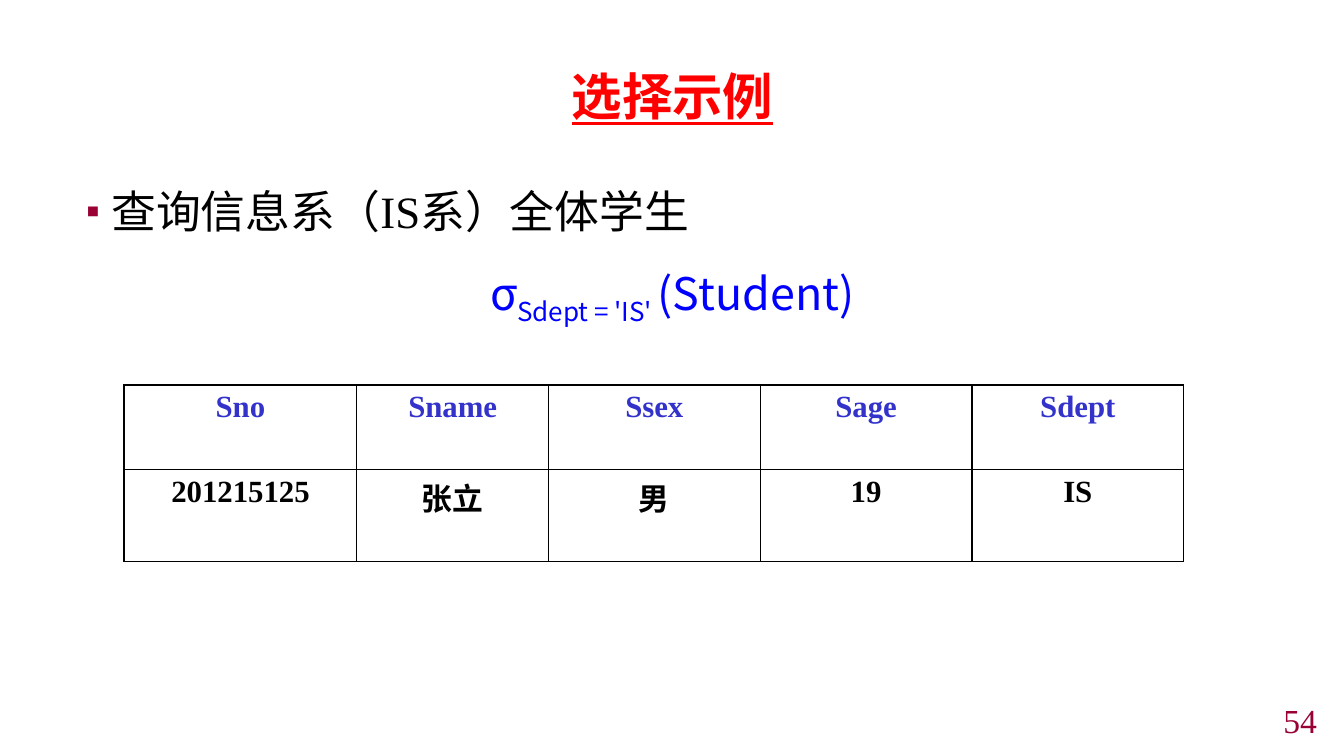
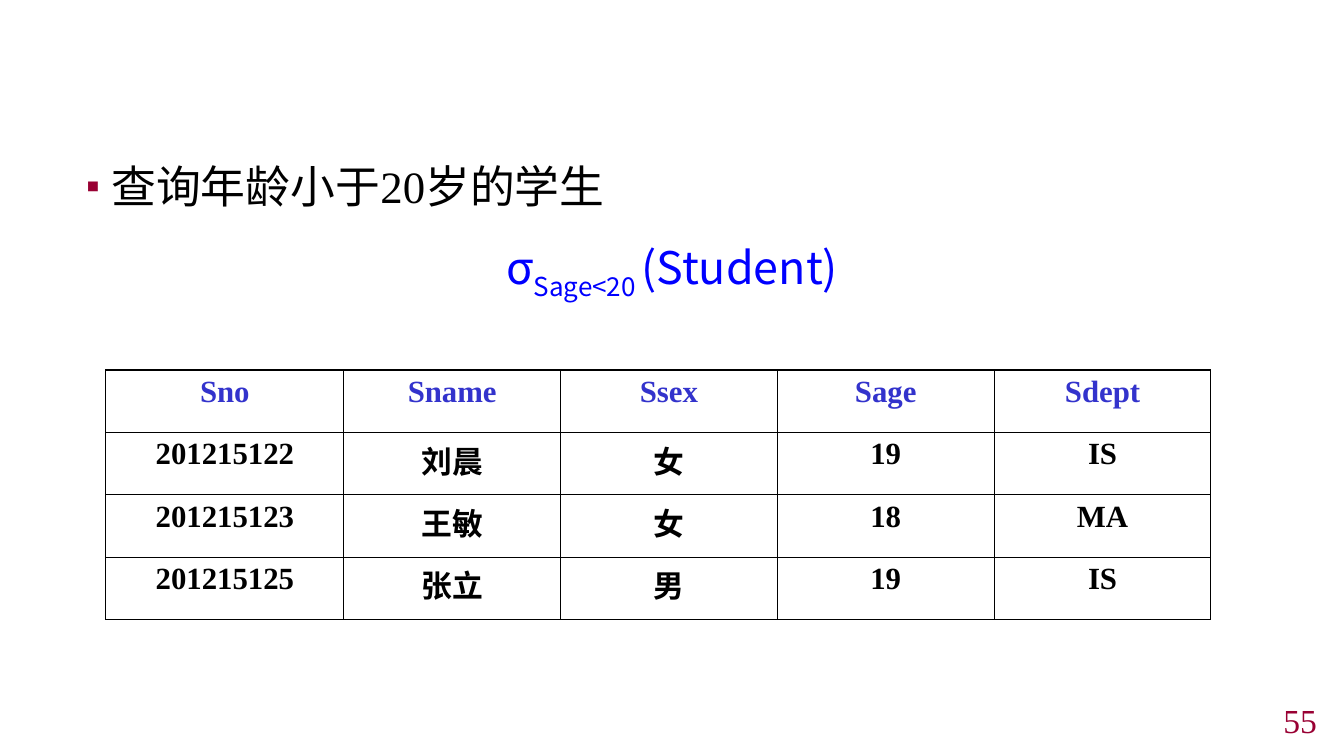
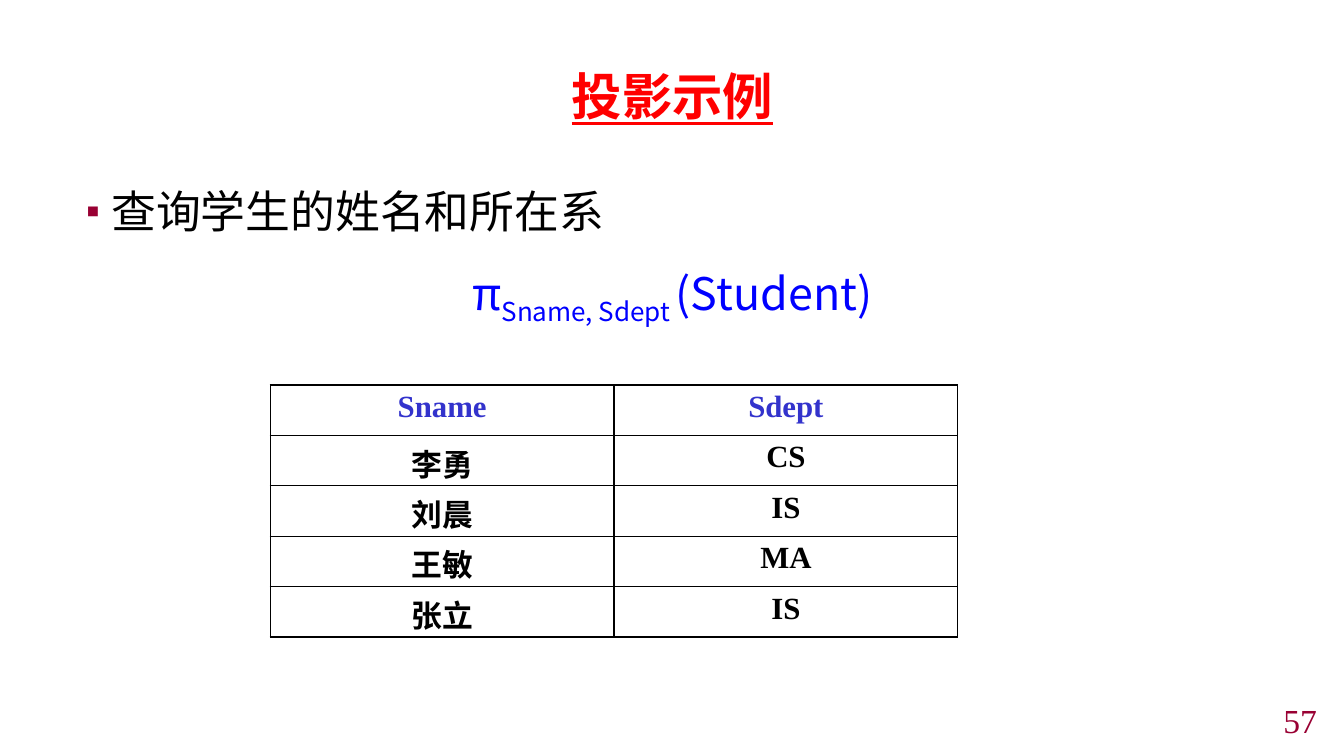
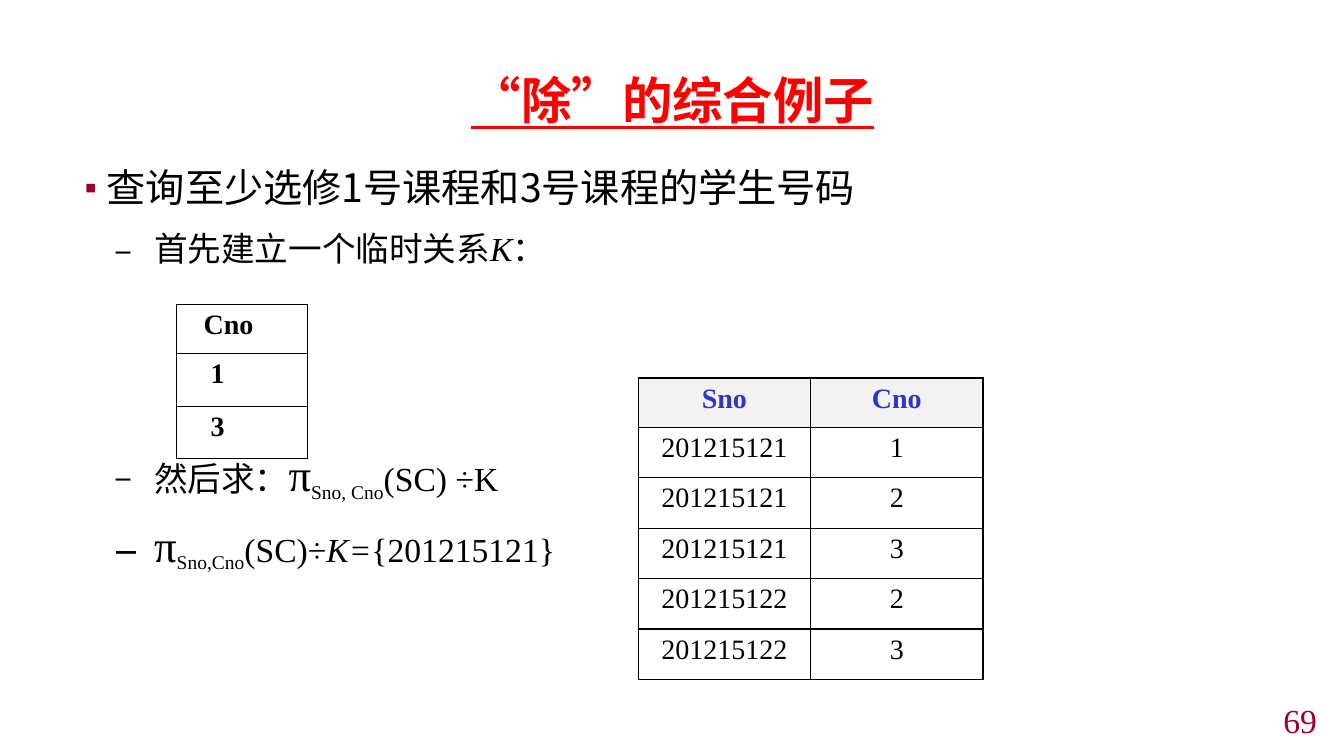
from pptx import Presentation
from pptx.dml.color import RGBColor
from pptx.enum.text import MSO_ANCHOR as Anchor, PP_ALIGN as Align
from pptx.oxml.ns import qn
from pptx.util import Inches, Pt
from lxml.etree import SubElement

SANS, SERIF = "Noto Sans CJK SC", "Times New Roman"
BLACK, RED, BLUE, INDIGO, WINE, GREY = (
    "000000", "FF0000", "0000FF", "3333CC", "990033", "F2F2F2")
TITLE_ONLY, BLANK = 5, 6

SUB = {"baseline": -25000}
ITALIC = {"italic": True}


def rgb(color):
    return RGBColor.from_string(color)


class Deck:
    """Holds the shared style and the slide being filled."""

    title_style = dict(size=36, name=SANS, color=RED, bold=True, underline=True)
    query_style = dict(size=32, name=SERIF, color=BLACK)
    formula_style = dict(size=32, name=SANS, color=BLUE)
    number_style = dict(size=24, name=SERIF, color=WINE)
    step_style = dict(size=24, name=SERIF, color=BLACK)
    head_style = dict(size=22, name=SERIF, color=INDIGO, bold=True)
    cell_style = dict(size=22, name=SERIF, color=BLACK, bold=True)

    def __init__(self):
        self.prs = Presentation()
        self.prs.slide_width, self.prs.slide_height = Inches(13.33), Inches(7.5)

    def new_slide(self, number, title=None, title_top=0.65):
        layout = TITLE_ONLY if title else BLANK
        self.slide = self.prs.slides.add_slide(self.prs.slide_layouts[layout])
        if title:
            holder = self.slide.shapes.title
            holder.left, holder.top = Inches(0.65), Inches(title_top)
            holder.width, holder.height = Inches(12.04), Inches(0.75)
            frame = self.setup_frame(holder.text_frame, Anchor.TOP)
            self.add_runs(frame.paragraphs[0], [(title, {})], self.title_style, Align.CENTER)
        frame = self.text_box(10.33, 6.99, 2.83, 0.31, Anchor.MIDDLE)
        self.add_runs(frame.paragraphs[0], [(str(number), {})], self.number_style, Align.RIGHT)

    def setup_frame(self, frame, anchor):
        frame.word_wrap = True
        frame.vertical_anchor = anchor
        frame.margin_top = frame.margin_bottom = 0
        return frame

    def text_box(self, left, top, width, height, anchor=Anchor.TOP):
        box = self.slide.shapes.add_textbox(*map(Inches, (left, top, width, height)))
        return self.setup_frame(box.text_frame, anchor)

    def add_runs(self, paragraph, runs, style, align=Align.LEFT, before=0):
        """Adds (text, changes to the style) pairs as runs."""
        paragraph.alignment = align
        paragraph.line_spacing = 1.0
        paragraph.space_before = Pt(before)
        for text, changes in runs:
            run = paragraph.add_run()
            run.text = text
            self.format_run(run, {**style, **changes})

    def format_run(self, run, values):
        props = run._r.get_or_add_rPr()
        props.set("lang", "zh-CN")
        for key, value in values.items():
            if key == "color":
                run.font.color.rgb = rgb(value)
            elif key == "baseline":
                props.set(key, str(value))
            else:
                setattr(run.font, key, Pt(value) if key == "size" else value)
        SubElement(props, qn("a:ea")).set("typeface", SANS)

    def bullet(self, paragraph, mark, left, hang, color=BLACK, percent=100):
        props = paragraph._p.get_or_add_pPr()
        props.set("marL", str(Inches(left)))
        props.set("indent", str(-Inches(hang)))
        SubElement(SubElement(props, qn("a:buClr")), qn("a:srgbClr")).set("val", color)
        SubElement(props, qn("a:buSzPct")).set("val", str(percent * 1000))
        SubElement(props, qn("a:buFont")).set("typeface", SANS)
        SubElement(props, qn("a:buChar")).set("char", mark)

    def query(self, paragraph, text, **changes):
        self.bullet(paragraph, "▪", 0.29, 0.29, WINE, 80)
        self.add_runs(paragraph, [(text, changes)], self.query_style)

    def step(self, paragraph, runs, before):
        self.bullet(paragraph, "–", 0.78, 0.39)
        self.add_runs(paragraph, runs, self.step_style, before=before)

    def query_with_formula(self, top, query, operator, condition):
        frame = self.text_box(0.65, top, 12.04, 1.65)
        self.query(frame.paragraphs[0], query)
        runs = [(operator, {}), (condition + " ", SUB), ("(Student)", {})]
        self.add_runs(frame.add_paragraph(), runs, self.formula_style, Align.CENTER, 20)

    def table(self, left, top, widths, heights, rows, align=Align.CENTER,
              head=None, body=None, head_fill=None, insets=(0.13, 0.13)):
        """Draws a ruled table; insets are the left margins of head and body cells."""
        frame = self.slide.shapes.add_table(
            len(heights), len(widths), Inches(left), Inches(top),
            Inches(sum(widths)), Inches(sum(heights)))
        table = frame.table
        for column, width in zip(table.columns, widths):
            column.width = Inches(width)
        for row, height in zip(table.rows, heights):
            row.height = Inches(height)
        for r, texts in enumerate(rows):
            style = {**self.cell_style, **(body or {})} if r else {**self.head_style, **(head or {})}
            for c, text in enumerate(texts):
                cell = table.cell(r, c)
                cell.margin_left = Inches(insets[min(r, 1)])
                cell.margin_right = Inches(0.13)
                cell.margin_top = cell.margin_bottom = Inches(0.05)
                self.add_runs(cell.text_frame.paragraphs[0], [(text, {})], style, align)
                self.rule_cell(cell)
                if head_fill and r == 0:
                    cell.fill.solid()
                    cell.fill.fore_color.rgb = rgb(head_fill)
                else:
                    cell.fill.background()

    def rule_cell(self, cell):
        props = cell._tc.get_or_add_tcPr()
        for side in ("lnL", "lnR", "lnT", "lnB"):
            line = SubElement(props, qn("a:" + side), w=str(Pt(1)))
            fill = SubElement(line, qn("a:solidFill"))
            SubElement(fill, qn("a:srgbClr")).set("val", BLACK)


def main():
    deck = Deck()
    fields = ["Sno", "Sname", "Ssex", "Sage", "Sdept"]
    liu = ["201215122", "刘晨", "女", "19", "IS"]
    wang = ["201215123", "王敏", "女", "18", "MA"]
    zhang = ["201215125", "张立", "男", "19", "IS"]

    deck.new_slide(54, "选择示例")
    deck.query_with_formula(1.82, "查询信息系（IS系）全体学生", "σ", "Sdept = 'IS'")
    deck.table(1.23, 3.82, [2.31, 1.9] + [2.1] * 3, [0.84, 0.91], [fields, zhang])

    deck.new_slide(55)
    deck.query_with_formula(1.57, "查询年龄小于20岁的学生", "σ", "Sage<20")
    deck.table(1.05, 3.67, [2.36] + [2.15] * 4, [0.62] * 4, [fields, liu, wang, zhang])

    deck.new_slide(57, "投影示例")
    deck.query_with_formula(1.82, "查询学生的姓名和所在系", "π", "Sname, Sdept")
    departments = [["Sname", "Sdept"], ["李勇", "CS"]]
    departments += [[student[1], student[4]] for student in (liu, wang, zhang)]
    deck.table(2.68, 3.82, [3.41] * 2, [0.5] * 5, departments)

    deck.new_slide(69, "“除”的综合例子", 0.69)
    frame = deck.text_box(0.65, 1.62, 12.04, 5)
    deck.query(frame.paragraphs[0], "查询至少选修1号课程和3号课程的学生号码", size=28, name=SANS)
    large = {"size": 32}
    steps = [
        (12.5, [("首先建立一个临时关系", {}), ("K", ITALIC), ("：", {})]),
        (127.5, [("然后求：", {"name": SANS}), ("π", large), ("Sno, Cno", SUB), ("(SC) ÷K", {})]),
        (10, [("π", large), ("Sno,Cno", {"baseline": -22000}), ("(SC)÷", {}),
              ("K=", ITALIC), ("{201215121}", {})]),
    ]
    for before, runs in steps:
        deck.step(frame.add_paragraph(), runs, before)
    deck.table(1.75, 3.02, [1.3], [0.49, 0.52, 0.52], [["Cno"], ["1"], ["3"]], Align.LEFT,
               head=dict(size=20, color=BLACK), body=dict(size=20), insets=(0.27, 0.34))
    courses = {"201215121": "123", "201215122": "23"}
    choices = [[student, course] for student, taken in courses.items() for course in taken]
    deck.table(6.33, 3.75, [1.71] * 2, [0.49] + [0.5] * 5, [["Sno", "Cno"]] + choices,
               head=dict(size=20), body=dict(size=20, bold=False), head_fill=GREY)

    deck.prs.save("out.pptx")


if __name__ == "__main__":
    main()
